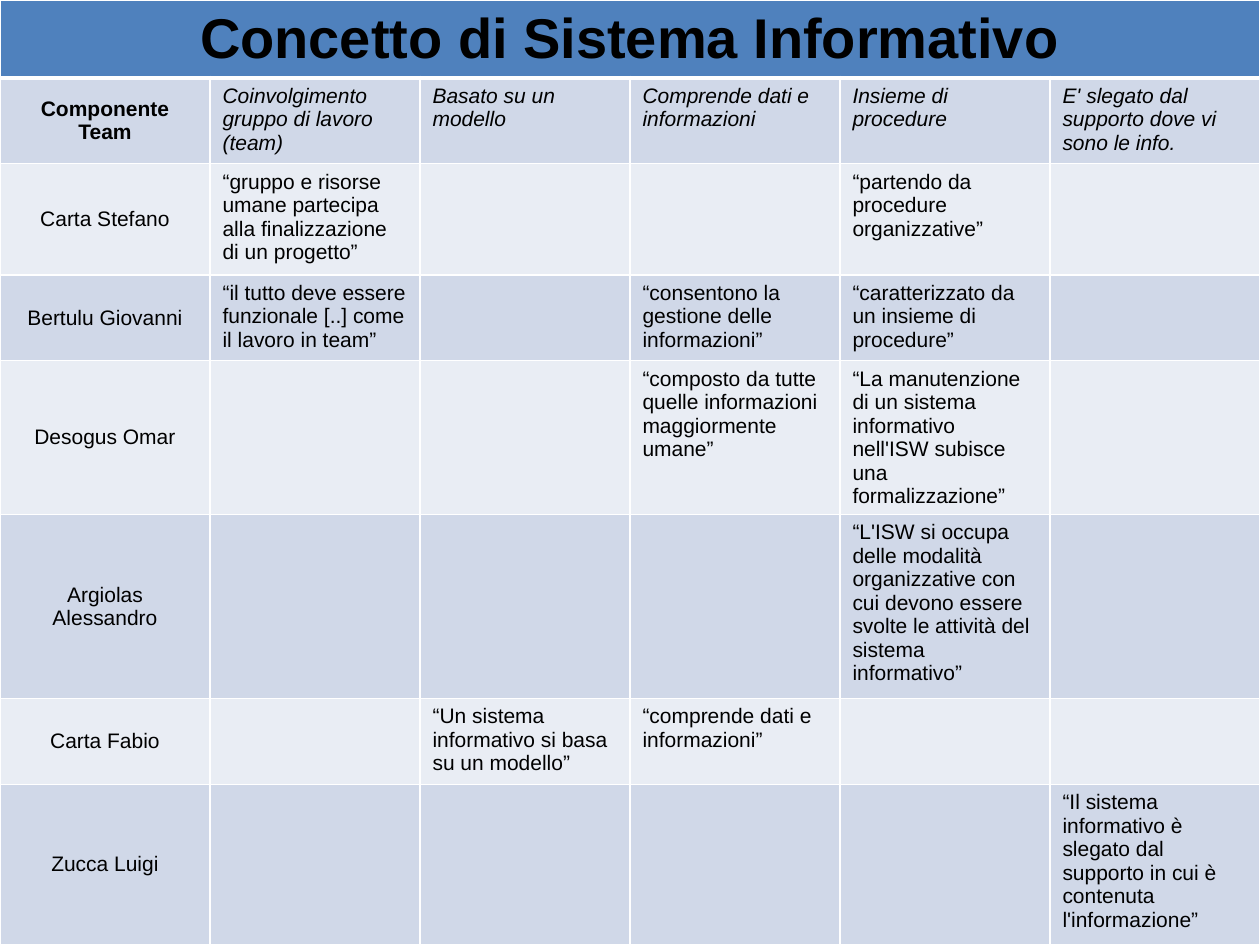
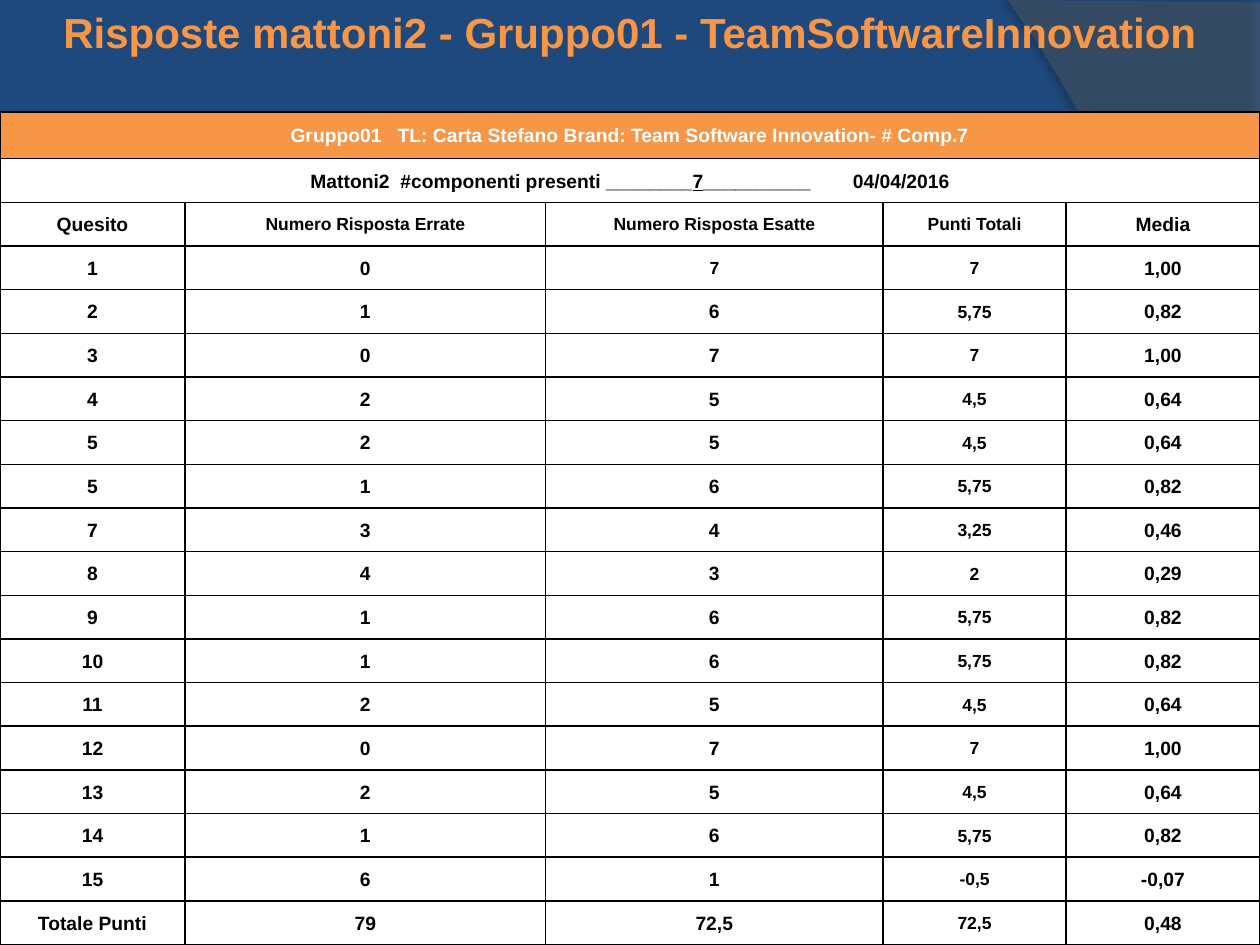
import dataclasses

import pptx
import pptx.dml.color
import pptx.enum.text
import pptx.oxml
import pptx.oxml.ns
import pptx.util

Cm = pptx.util.Cm
CENTER = pptx.enum.text.PP_ALIGN.CENTER
LEFT = pptx.enum.text.PP_ALIGN.LEFT
MIDDLE = pptx.enum.text.MSO_ANCHOR.MIDDLE
TOP = pptx.enum.text.MSO_ANCHOR.TOP


@dataclasses.dataclass(frozen=True)
class Theme:
    """Colours, font, type sizes and slide size in centimetres."""

    font: str = "Arial"
    navy: str = "1F497D"
    blue: str = "4F81BD"
    orange: str = "F79646"
    bands: tuple = ("D0D8E8", "E9EDF4")
    wave: str = "7F7F7F"
    sweep: str = "5E5E5E"
    black: str = "000000"
    white: str = "FFFFFF"
    banner_size: int = 32
    title_size: int = 24
    concept_size: int = 12
    score_size: int = 11
    small_size: int = 10
    width: float = 25.4
    height: float = 19.05


THEME = Theme()

CONCEPT_ROW_HEIGHTS = (1.57, 1.73, 2.24, 1.73, 3.1, 3.71, 1.73, 3.23)
CONCEPTS = (
    "Coinvolgimento gruppo di lavoro (team)",
    "Basato su un modello",
    "Comprende dati e informazioni",
    "Insieme di procedure",
    "E' slegato dal supporto dove vi sono le info.",
)
TEAM_ANSWERS = (
    ("Carta Stefano", {
        1: "“gruppo e risorse umane partecipa alla finalizzazione di un progetto”",
        4: "“partendo da procedure organizzative”"}),
    ("Bertulu Giovanni", {
        1: "“il tutto deve essere funzionale [..] come il lavoro in team”",
        3: "“consentono la gestione delle informazioni”",
        4: "“caratterizzato da un insieme di procedure”"}),
    ("Desogus Omar", {
        3: "“composto da tutte quelle informazioni maggiormente umane”",
        4: "“La manutenzione di un sistema informativo nell'ISW subisce una formalizzazione”"}),
    ("Argiolas Alessandro", {
        4: "“L'ISW si occupa delle modalità organizzative con cui devono essere "
           "svolte le attività del sistema informativo”"}),
    ("Carta Fabio", {
        2: "“Un sistema informativo si basa su un modello”",
        3: "“comprende dati e informazioni”"}),
    ("Zucca Luigi", {
        5: "“Il sistema informativo è slegato dal supporto in cui è contenuta l'informazione”"}),
)

SCORE_TOP = 2.26
SCORE_COLUMNS = (3.73, 7.27, 6.8, 3.69, 3.91)
SCORE_HEADINGS = ("Quesito", "Numero Risposta Errate", "Numero Risposta Esatte",
                  "Punti Totali", "Media")
SCORES = (
    ("1", "0", "7", "7", "1,00"),
    ("2", "1", "6", "5,75", "0,82"),
    ("3", "0", "7", "7", "1,00"),
    ("4", "2", "5", "4,5", "0,64"),
    ("5", "2", "5", "4,5", "0,64"),
    ("5", "1", "6", "5,75", "0,82"),
    ("7", "3", "4", "3,25", "0,46"),
    ("8", "4", "3", "2", "0,29"),
    ("9", "1", "6", "5,75", "0,82"),
    ("10", "1", "6", "5,75", "0,82"),
    ("11", "2", "5", "4,5", "0,64"),
    ("12", "0", "7", "7", "1,00"),
    ("13", "2", "5", "4,5", "0,64"),
    ("14", "1", "6", "5,75", "0,82"),
    ("15", "6", "1", "-0,5", "-0,07"),
    ("Totale Punti", "79", "72,5", "72,5", "0,48"),
)


def rgb(code):
    """Return a colour from its hexadecimal code."""
    return pptx.dml.color.RGBColor.from_string(code)


def xml(tag, content="", attributes=""):
    """Return a DrawingML element."""
    namespace = pptx.oxml.ns.nsdecls("a")
    return pptx.oxml.parse_xml(f"<a:{tag} {namespace} {attributes}>{content}</a:{tag}>")


def write(frame, *pieces, size, color=THEME.black, bold=False, italic=False, align=CENTER):
    """Write pieces, each a string or a (string, underline, spacing) tuple, as one paragraph."""
    paragraph = frame.paragraphs[0]
    paragraph.alignment = align
    for piece in pieces:
        text, underline, spacing = (piece, False, 0) if isinstance(piece, str) else piece
        run = paragraph.add_run()
        run.text = text
        run.font.name = THEME.font
        run.font.size = pptx.util.Pt(size)
        run.font.color.rgb = rgb(color)
        run.font.bold = bold
        run.font.italic = italic
        run.font.underline = underline
        if spacing:
            run.font._element.set("spc", str(spacing * 100))


def gap(points):
    """Return a single space widened by the given points."""
    return " ", False, points


def paint_cell(cell, fill, line, bottom=1):
    """Fill a cell and draw its four borders."""
    properties = cell._tc.get_or_add_tcPr()
    for side, points in (("lnL", 1), ("lnR", 1), ("lnT", 1), ("lnB", bottom)):
        stroke = f'<a:solidFill><a:srgbClr val="{line}"/></a:solidFill>'
        properties.append(xml(side, stroke, f'w="{pptx.util.Pt(points)}"'))
    cell.fill.solid()
    cell.fill.fore_color.rgb = rgb(fill)


def add_grid(slide, top, columns, rows):
    """Add an unstyled table from its column widths and row heights."""
    grid = slide.shapes.add_table(len(rows), len(columns), 0, Cm(top),
                                  Cm(sum(columns)), Cm(sum(rows))).table
    grid.first_row = grid.horz_banding = False
    for column, width in zip(grid.columns, columns):
        column.width = Cm(width)
    for row, height in zip(grid.rows, rows):
        row.height = Cm(height)
    return grid


def merge_row(grid, row):
    """Merge a whole table row and return its cell."""
    heading = grid.cell(row, 0)
    heading.merge(grid.cell(row, len(grid.columns) - 1))
    heading.vertical_anchor = MIDDLE
    return heading


def curve(start, first, second, end, steps=24):
    """Return points along a cubic curve."""
    points = []
    for step in range(steps + 1):
        t = step / steps
        weights = ((1 - t) ** 3, 3 * t * (1 - t) ** 2, 3 * t * t * (1 - t), t ** 3)
        points.append(tuple(sum(w * p[axis] for w, p in zip(weights, (start, first, second, end)))
                            for axis in (0, 1)))
    return points


def add_master_band(slide, master, outline, color, opacity, shadow_opacity, direction):
    """Draw a translucent shadowed outline and move it to the master."""
    points = [(Cm(x), Cm(y)) for x, y in outline]
    builder = slide.shapes.build_freeform(*points[0])
    builder.add_line_segments(points[1:], close=True)
    band = builder.convert_to_shape()
    band.shadow.inherit = False
    band.fill.solid()
    band.fill.fore_color.rgb = rgb(color)
    band.line.fill.background()
    tint = next(band._element.spPr.iter(pptx.oxml.ns.qn("a:srgbClr")))
    tint.append(xml("alpha", attributes=f'val="{opacity * 1000}"'))
    shade = (f'<a:srgbClr val="{THEME.black}">'
             f'<a:alpha val="{shadow_opacity * 1000}"/></a:srgbClr>')
    effects = band._element.spPr.find(pptx.oxml.ns.qn("a:effectLst"))
    effects.append(xml("outerShdw", shade, f'blurRad="{pptx.util.Pt(4)}" '
                       f'dist="{pptx.util.Pt(4)}" dir="{direction * 60000}"'))
    master.shapes.element.append(band._element)


def dress_master(slide, master):
    """Give the master its background, wave and sweep."""
    master.background.fill.solid()
    master.background.fill.fore_color.rgb = rgb(THEME.navy)
    right, bottom = THEME.width, THEME.height
    wave = [(0, bottom), (right, bottom)]
    wave += curve((right, 13.2), (14.2, 18.52), (9.93, 18.26), (0, 17.9))
    sweep = [(right, 0.05), (right, bottom)]
    sweep += curve((20.85, bottom), (23.75, 15.72), (25.86, 7.62), (20.32, 0))
    add_master_band(slide, master, wave, THEME.wave, 45, 35, 270)
    add_master_band(slide, master, sweep, THEME.sweep, 40, 45, 180)


def fill_concepts(slide):
    """Build the table of concepts named by each team member."""
    grid = add_grid(slide, 0, [THEME.width / 6] * 6, CONCEPT_ROW_HEIGHTS)
    for index, row in enumerate(grid.rows):
        for cell in row.cells:
            fill = THEME.bands[(index - 1) % 2] if index else THEME.blue
            paint_cell(cell, fill, THEME.white, bottom=1 if index else 3)
    write(merge_row(grid, 0).text_frame, "Concetto di Sistema Informativo",
          size=THEME.banner_size, bold=True)
    heading = ("Componente Team", dict(enumerate(CONCEPTS, 1)))
    for index, (member, answers) in enumerate((heading, *TEAM_ANSWERS), 1):
        is_heading = index == 1
        name = grid.cell(index, 0)
        name.vertical_anchor = MIDDLE
        write(name.text_frame, member, size=THEME.concept_size, bold=is_heading)
        for column, answer in answers.items():
            write(grid.cell(index, column).text_frame, answer, size=THEME.concept_size,
                  italic=is_heading, align=LEFT)


def score_size(row, column):
    """Return the type size of a score cell."""
    is_small = column == 3 or (row == 0 and column in (1, 2)) or (row, column) == (1, 2)
    return THEME.small_size if is_small else THEME.score_size


def fill_scores(slide):
    """Build the table of answers and points per question."""
    lines = (SCORE_HEADINGS, *SCORES)
    grid = add_grid(slide, SCORE_TOP, SCORE_COLUMNS, [0.94] + [0.88] * (len(lines) + 1))
    for index, row in enumerate(grid.rows):
        for cell in row.cells:
            paint_cell(cell, THEME.white if index else THEME.orange, THEME.black)
            cell.margin_left = cell.margin_right = cell.margin_top = Cm(0.03)
            cell.margin_bottom = 0
            cell.vertical_anchor = MIDDLE
    write(merge_row(grid, 0).text_frame, "Gruppo01", gap(6),
          "TL: Carta Stefano Brand: Team Software Innovation- # Comp.7",
          size=THEME.score_size, color=THEME.white, bold=True)
    write(merge_row(grid, 1).text_frame, "Mattoni2", gap(3),
          "#componenti presenti ________", ("7", True, 0), "__________", gap(21),
          "04/04/2016", size=THEME.score_size, bold=True)
    for row, values in enumerate(lines):
        for column, value in enumerate(values):
            write(grid.cell(row + 2, column).text_frame, value,
                  size=score_size(row, column), bold=True)


def set_title(slide, text):
    """Place and write the slide title."""
    title = slide.shapes.title
    title.left, title.top, title.width, title.height = 0, 0, Cm(THEME.width), Cm(1.27)
    frame = title.text_frame
    frame.word_wrap = True
    frame.auto_size = pptx.enum.text.MSO_AUTO_SIZE.NONE
    frame.vertical_anchor = TOP
    write(frame, text, size=THEME.title_size, color=THEME.orange, bold=True)


def main():
    """Build and save the two slides."""
    deck = pptx.Presentation()
    deck.slide_width, deck.slide_height = Cm(THEME.width), Cm(THEME.height)
    concepts = deck.slides.add_slide(deck.slide_layouts[6])
    dress_master(concepts, deck.slide_master)
    fill_concepts(concepts)
    scores = deck.slides.add_slide(deck.slide_layouts[5])
    fill_scores(scores)
    set_title(scores, "Risposte mattoni2 - Gruppo01 - TeamSoftwareInnovation")
    deck.save("out.pptx")


if __name__ == "__main__":
    main()
